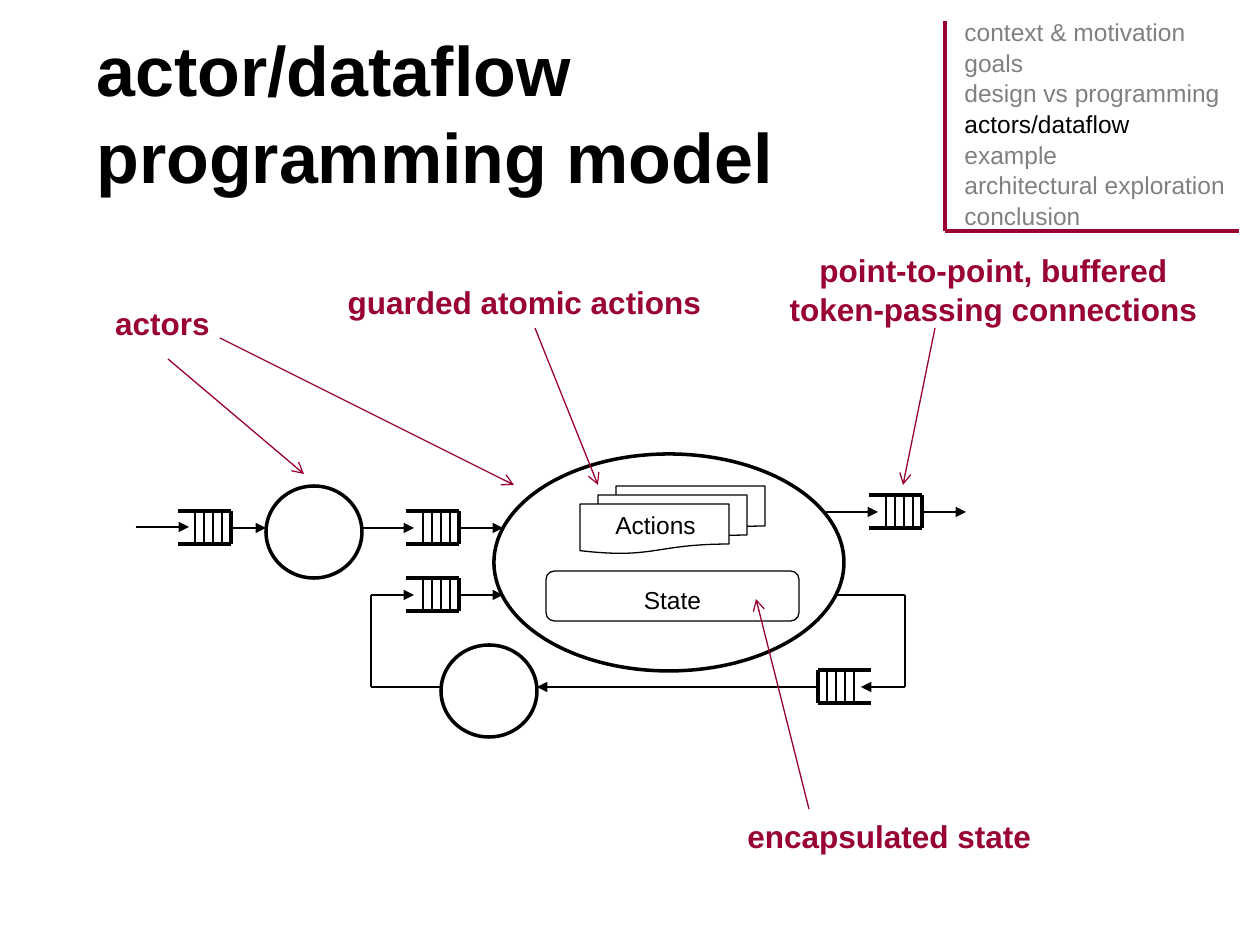
"""Builds the slide on the actor/dataflow programming model."""
import lxml.etree
import pptx
import pptx.util
import pptx.dml.color
import pptx.enum.shapes
import pptx.enum.text
import pptx.oxml.ns

EMU_PER_PX = 914400 / 126
FONT = "Arial"
LINE_SPACING = 1.04
THIN, THICK = 0.75, 2
COLORS = {"ink": "000000", "accent": "990033", "muted": "808080", "paper": "FFFFFF"}
SHAPES = pptx.enum.shapes.MSO_SHAPE
ALIGN = pptx.enum.text.PP_ALIGN

TITLE = ["actor/dataflow", "programming model"]
TITLE_BOX = (84, 32, 1113, 157)
AGENDA = ["context & motivation", "goals", "design vs programming", "actors/dataflow",
          "example", "architectural exploration", "conclusion"]
CURRENT_TOPIC = "actors/dataflow"
AGENDA_BOX = (952, 10, 286, 219)
AGENDA_RULES = [(945, 21, 945, 231), (1239, 231, 945, 231)]

LABELS = [
    ("encapsulated state", (735, 809, 357, 50), ALIGN.LEFT),
    ("point-to-point, buffered token-passing connections", (766, 243, 455, 88), ALIGN.CENTER),
    ("actors", (73, 296, 179, 50), ALIGN.CENTER),
    ("guarded atomic actions", (325, 275, 399, 50), ALIGN.CENTER),
]
POINTERS = [
    (935, 328, 903, 485), (168, 359, 304, 474), (220, 338, 514, 485),
    (535, 328, 598, 485), (809, 809, 756, 599),
]

ACTORS = [(266, 486, 96, 92), (441, 645, 96, 92), (494, 454, 350, 217)]
ACTION_CARDS = [(616 - 18 * i, 486 + 9 * i, 149, 50) for i in range(3)]
STATE_BOX = (546, 571, 253, 50)
PART_NAMES = [("Actions", (590, 503, 131, 43)), ("State", (546, 578, 253, 43))]

QUEUE_LENGTH, QUEUE_HEIGHT, SLOT, SLOT_COUNT = 53, 33, 9, 4
QUEUES = [(231, 511, 1), (459, 578, 1), (459, 511, 1), (818, 670, -1), (922, 495, 1)]

ARROWS = [
    (136, 527, 189, 527), (231, 528, 266, 528), (362, 528, 414, 528),
    (459, 528, 503, 528), (826, 512, 878, 512), (922, 512, 966, 512),
    (459, 595, 503, 595), (371, 595, 414, 595), (818, 687, 537, 687),
    (905, 687, 861, 687),
]
WIRES = [(441, 687, 371, 687), (371, 687, 371, 595),
         (835, 595, 905, 595), (905, 595, 905, 687)]


def px(value):
    return pptx.util.Emu(round(value * EMU_PER_PX))


def rgb(name):
    return pptx.dml.color.RGBColor.from_string(COLORS[name])


def add_line(shapes, ends, width=THIN, color="ink", head=None):
    connector = shapes.add_connector(
        pptx.enum.shapes.MSO_CONNECTOR.STRAIGHT, *map(px, ends))
    connector.line.color.rgb = rgb(color)
    connector.line.width = pptx.util.Pt(width)
    qn = pptx.oxml.ns.qn
    properties = connector._element.find(qn("p:spPr"))
    if head:
        outline = properties.find(qn("a:ln"))
        lxml.etree.SubElement(outline, qn("a:tailEnd"), type=head)
    lxml.etree.SubElement(properties, qn("a:effectLst"))


def add_outline(shapes, kind, box, width=THIN, fill=None):
    shape = shapes.add_shape(kind, *map(px, box))
    shape.shadow.inherit = False
    if fill:
        shape.fill.solid()
        shape.fill.fore_color.rgb = rgb(fill)
    else:
        shape.fill.background()
    shape.line.color.rgb = rgb("ink")
    shape.line.width = pptx.util.Pt(width)


def add_run(paragraph, text, size, color, bold=False):
    run = paragraph.add_run()
    run.text = text
    run.font.name = FONT
    run.font.size = pptx.util.Pt(size)
    run.font.bold = bold
    run.font.color.rgb = rgb(color)


def add_text(shapes, box, lines, size, align=ALIGN.LEFT, bold=False, wrap=True):
    frame = shapes.add_textbox(*map(px, box)).text_frame
    frame.word_wrap = wrap
    for index, (text, color) in enumerate(lines):
        paragraph = frame.add_paragraph() if index else frame.paragraphs[0]
        paragraph.alignment = align
        paragraph.line_spacing = LINE_SPACING
        add_run(paragraph, text, size, color, bold)


def add_queue(shapes, closed_x, top, direction):
    group = shapes.add_group_shape()
    open_x, bottom = closed_x - direction * QUEUE_LENGTH, top + QUEUE_HEIGHT
    for y in (top, bottom):
        add_line(group.shapes, (open_x, y, closed_x, y), THICK)
    for slot in range(SLOT_COUNT + 1):
        x = closed_x - direction * slot * SLOT
        add_line(group.shapes, (x, top, x, bottom), THIN if slot else THICK)


def add_title(slide):
    title = slide.shapes.title
    title.left, title.top, title.width, title.height = map(px, TITLE_BOX)
    frame = title.text_frame
    frame.auto_size = pptx.enum.text.MSO_AUTO_SIZE.NONE
    frame.vertical_anchor = pptx.enum.text.MSO_ANCHOR.MIDDLE
    paragraph = frame.paragraphs[0]
    paragraph.alignment = ALIGN.LEFT
    paragraph.line_spacing = LINE_SPACING
    for index, line in enumerate(TITLE):
        if index:
            paragraph.add_line_break()
        add_run(paragraph, line, 40, "ink", True)


def main():
    presentation = pptx.Presentation()
    presentation.slide_width, presentation.slide_height = px(1260), px(945)
    slide = presentation.slides.add_slide(presentation.slide_layouts[5])
    shapes = slide.shapes
    add_title(slide)

    for box in ACTORS:
        add_outline(shapes, SHAPES.OVAL, box, THICK)
    for box in ACTION_CARDS:
        add_outline(shapes, SHAPES.FLOWCHART_DOCUMENT, box, fill="paper")
    add_outline(shapes, SHAPES.FLOWCHART_ALTERNATE_PROCESS, STATE_BOX)
    for name, box in PART_NAMES:
        add_text(shapes, box, [(name, "ink")], 14, ALIGN.CENTER)

    for queue in QUEUES:
        add_queue(shapes, *queue)
    for ends in ARROWS:
        add_line(shapes, ends, head="triangle")
    for ends in WIRES:
        add_line(shapes, ends)

    for text, box, align in LABELS:
        add_text(shapes, box, [(text, "accent")], 18, align, bold=True)
    for ends in POINTERS:
        add_line(shapes, ends, color="accent", head="arrow")

    agenda = [(topic, "ink" if topic == CURRENT_TOPIC else "muted") for topic in AGENDA]
    add_text(shapes, AGENDA_BOX, agenda, 14, wrap=False)
    for ends in AGENDA_RULES:
        add_line(shapes, ends, THICK, "accent")
    presentation.save("out.pptx")


if __name__ == "__main__":
    main()
